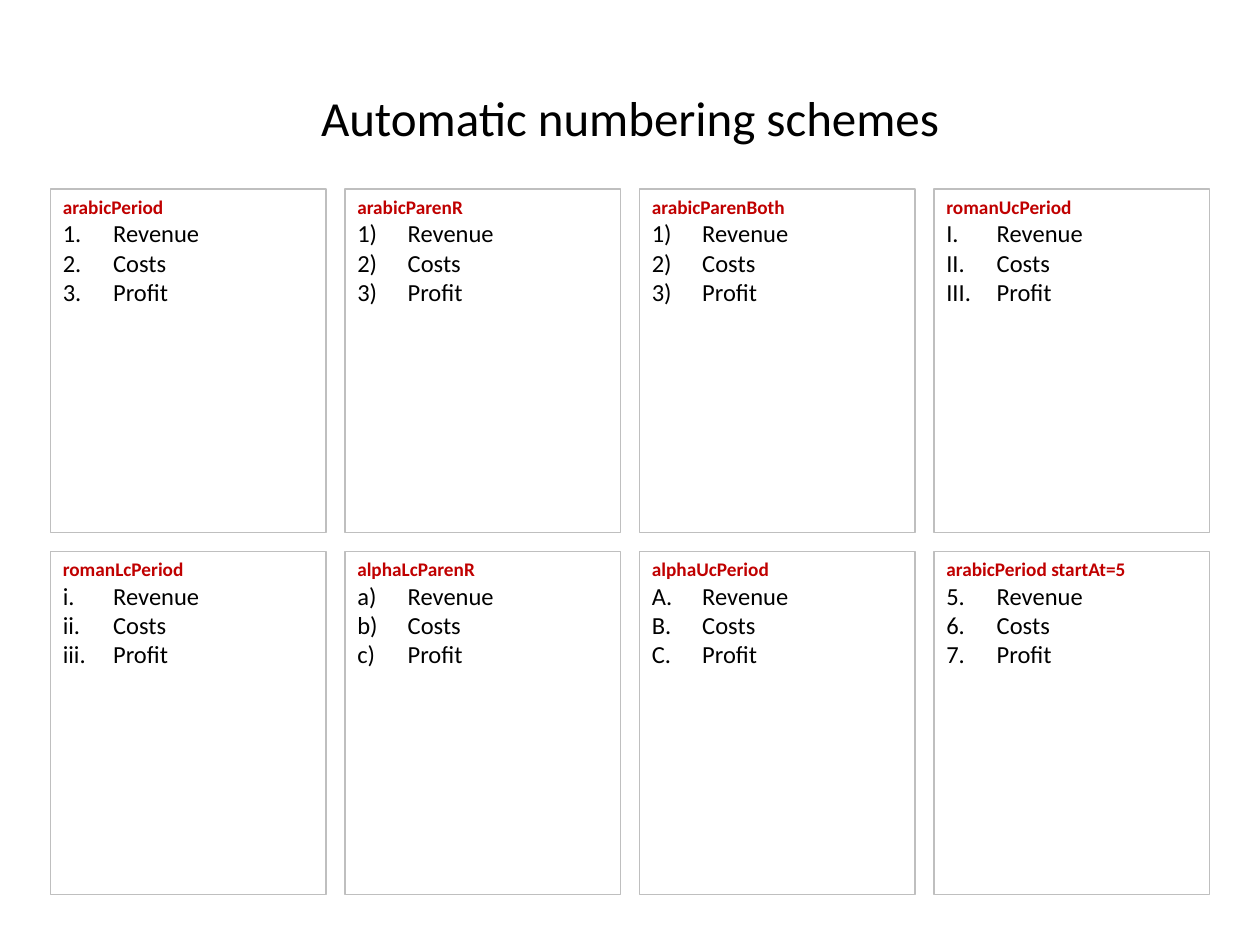
import pptx
import pptx.dml.color
import pptx.enum.shapes
import pptx.enum.text
import pptx.util
from lxml import etree
from pptx.oxml.ns import qn

Pt = pptx.util.Pt
Align = pptx.enum.text.PP_ALIGN
Anchor = pptx.enum.text.MSO_ANCHOR

TITLE = "Automatic numbering schemes"
ITEMS = ["Revenue", "Costs", "Profit"]
# (heading, numbering type, first number)
SCHEMES = [
    ("arabicPeriod", "arabicPeriod", 1),
    ("arabicParenR", "arabicParenR", 1),
    ("arabicParenBoth", "arabicParenR", 1),  # numbers show as 1), 2), 3)
    ("romanUcPeriod", "romanUcPeriod", 1),
    ("romanLcPeriod", "romanLcPeriod", 1),
    ("alphaLcParenR", "alphaLcParenR", 1),
    ("alphaUcPeriod", "alphaUcPeriod", 1),
    ("arabicPeriod startAt=5", "arabicPeriod", 5),
]

THEME = {
    "font": "Calibri",
    "text": "000000", "heading": "C00000", "border": "BFBFBF",
    "title_size": 28, "heading_size": 11, "item_size": 14,
}

SLIDE_W, SLIDE_H = 720, 540
COLUMNS, ROWS = 4, 2
MARGIN, GRID_TOP, GAP = 28.8, 108, 10.8
CARD_W = (SLIDE_W - 2 * MARGIN - (COLUMNS - 1) * GAP) / COLUMNS
CARD_H = (SLIDE_H - GRID_TOP - MARGIN - (ROWS - 1) * GAP) / ROWS
INDENT = 28.8


def rgb(name):
    return pptx.dml.color.RGBColor.from_string(THEME[name])


def add_run(paragraph, text, size, color, bold=False):
    run = paragraph.add_run()
    run.text = text
    run.font.name = THEME["font"]
    run.font.size = Pt(THEME[size])
    run.font.bold = bold
    run.font.color.rgb = rgb(color)


def number_paragraph(paragraph, scheme, start):
    """Give a paragraph a hanging indent and an automatic number."""
    properties = paragraph._p.get_or_add_pPr()
    properties.set("marL", str(Pt(INDENT)))
    properties.set("indent", str(-Pt(INDENT)))
    numbering = etree.SubElement(properties, qn("a:buAutoNum"), type=scheme)
    if start != 1:
        numbering.set("startAt", str(start))


def add_title(slide):
    title = slide.shapes.add_textbox(Pt(36), Pt(21.6), Pt(648), Pt(90))
    title.text_frame.word_wrap = True
    title.text_frame.vertical_anchor = Anchor.MIDDLE
    paragraph = title.text_frame.paragraphs[0]
    paragraph.alignment = Align.CENTER
    add_run(paragraph, TITLE, "title_size", "text")


def add_card(slide, position, heading, scheme, start):
    row, column = divmod(position, COLUMNS)
    card = slide.shapes.add_shape(
        pptx.enum.shapes.MSO_SHAPE.RECTANGLE,
        Pt(MARGIN + column * (CARD_W + GAP)), Pt(GRID_TOP + row * (CARD_H + GAP)),
        Pt(CARD_W), Pt(CARD_H))
    card.shadow.inherit = False
    card.fill.background()
    card.line.color.rgb = rgb("border")
    card.line.width = Pt(0.75)

    frame = card.text_frame
    frame.word_wrap = True
    frame.vertical_anchor = Anchor.TOP
    heading_line = frame.paragraphs[0]
    heading_line.alignment = Align.LEFT
    add_run(heading_line, heading, "heading_size", "heading", bold=True)
    for item in ITEMS:
        item_line = frame.add_paragraph()
        item_line.alignment = Align.LEFT
        number_paragraph(item_line, scheme, start)
        add_run(item_line, item, "item_size", "text")


def main():
    deck = pptx.Presentation()
    deck.slide_width, deck.slide_height = Pt(SLIDE_W), Pt(SLIDE_H)
    slide = deck.slides.add_slide(deck.slide_layouts[6])
    add_title(slide)
    for position, (heading, scheme, start) in enumerate(SCHEMES):
        add_card(slide, position, heading, scheme, start)
    deck.save("out.pptx")


if __name__ == "__main__":
    main()
